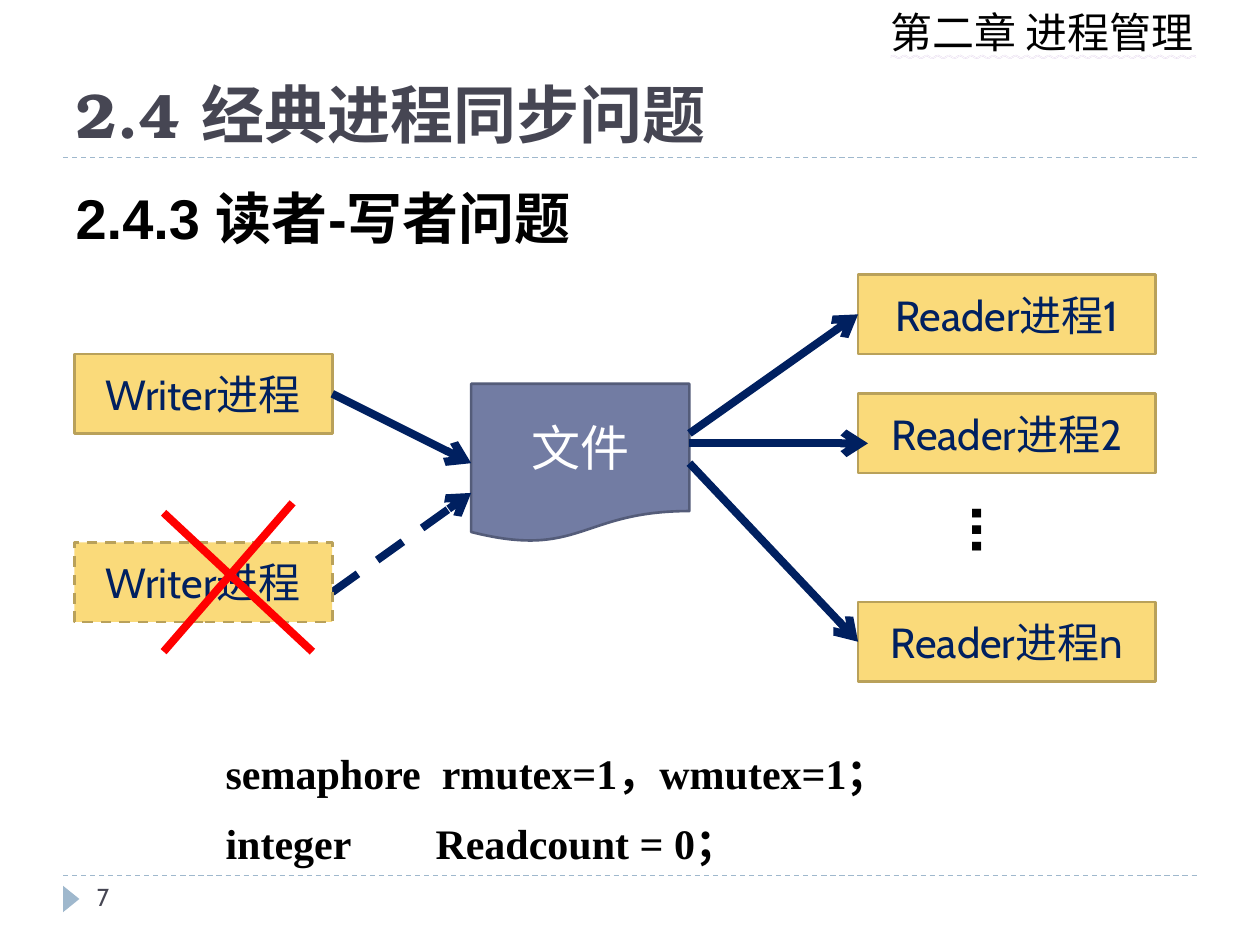
from dataclasses import dataclass

from lxml.etree import SubElement
from pptx import Presentation
from pptx.dml.color import RGBColor
from pptx.enum.dml import MSO_LINE
from pptx.enum.shapes import MSO_CONNECTOR, MSO_SHAPE
from pptx.enum.text import MSO_ANCHOR, MSO_UNDERLINE, PP_ALIGN
from pptx.oxml import parse_xml
from pptx.oxml.ns import nsdecls, qn
from pptx.util import Inches, Mm, Pt


@dataclass(frozen=True)
class Theme:
    black: str = "000000"
    white: str = "FFFFFF"
    slate: str = "464653"
    rule: str = "9FB8CD"
    underline: str = "CDB5DD"
    navy: str = "002060"
    process_fill: str = "FADA7A"
    process_edge: str = "B9A15A"
    file_fill: str = "727CA3"
    file_edge: str = "545C79"
    cross: str = "FF0000"
    body_font: str = "Cabin"
    title_font: str = "TeX Gyre Bonum"
    heading_font: str = "Arial"
    code_font: str = "Times New Roman"
    number_size: int = 14
    label_size: int = 24
    file_size: int = 28
    heading_size: int = 32
    title_size: int = 36
    dots_size: int = 40
    rule_width: float = 0.75
    edge_width: float = 1.5
    arrow_width: float = 4.5


THEME = Theme()
CELL = Mm(2)
DIAGRAM_LEFT, DIAGRAM_TOP = Inches(0.59), Inches(2.18)
PROCESS_ROWS = 8
WRITER_COLS, READER_COLS = 26, 30
FILE_COL, FILE_COLS = 40, 22
FILE_END = FILE_COL + FILE_COLS
READER_COL = 79


def point(col, row):
    return DIAGRAM_LEFT + int(col * CELL), DIAGRAM_TOP + int(row * CELL)


def area(col, row, cols, rows):
    """Turn a block of diagram cells into left, top, width and height."""
    return *point(col, row), int(cols * CELL), int(rows * CELL)


def inches(*lengths):
    return [Inches(length) for length in lengths]


def style_runs(frame, size, color, font=THEME.body_font, bold=False):
    for paragraph in frame.paragraphs:
        for run in paragraph.runs:
            run.font.size = Pt(size)
            run.font.name = font
            run.font.bold = bold
            run.font.color.rgb = RGBColor.from_string(color)


def style_line(line, color, width, dashed=False):
    line.color.rgb = RGBColor.from_string(color)
    line.width = Pt(width)
    if dashed:
        line.dash_style = MSO_LINE.DASH


def add_line(slide, start, end, color, width, dashed=False, arrow=False):
    connector = slide.shapes.add_connector(MSO_CONNECTOR.STRAIGHT, *start, *end)
    style_line(connector.line, color, width, dashed)
    if arrow:
        outline = connector.line._get_or_add_ln()
        SubElement(outline, qn("a:tailEnd"), type="arrow")
    SubElement(connector._element.spPr, qn("a:effectLst"))


def add_figure(slide, kind, place, fill):
    figure = slide.shapes.add_shape(kind, *place)
    figure.shadow.inherit = False
    figure.fill.solid()
    figure.fill.fore_color.rgb = RGBColor.from_string(fill)
    return figure


def add_node(slide, kind, place, label, fill, edge, size, color, dashed=False):
    node = add_figure(slide, kind, place, fill)
    style_line(node.line, edge, THEME.edge_width, dashed)
    frame = node.text_frame
    frame.text = label
    frame.vertical_anchor = MSO_ANCHOR.MIDDLE
    frame.paragraphs[0].alignment = PP_ALIGN.CENTER
    style_runs(frame, size, color)


def add_process(slide, col, row, cols, label, dashed=False):
    add_node(slide, MSO_SHAPE.RECTANGLE, area(col, row, cols, PROCESS_ROWS), label,
             THEME.process_fill, THEME.process_edge, THEME.label_size, THEME.navy, dashed)


def add_text(slide, place, text, size, color, wrap=True, **style):
    frame = slide.shapes.add_textbox(*place).text_frame
    frame.word_wrap = wrap
    frame.text = text
    style_runs(frame, size, color, **style)
    return frame


def add_page_frame(slide):
    """Draw the rules, the running chapter head and the page number."""
    for height in (1.25, 6.95):
        add_line(slide, inches(0.5, height), inches(9.5, height),
                 THEME.rule, THEME.rule_width, dashed=True)
    marker = add_figure(slide, MSO_SHAPE.ISOSCELES_TRIANGLE,
                        inches(0.46, 7.07, 0.21, 0.13), THEME.rule)
    marker.rotation = 90
    marker.line.fill.background()

    chapter = add_text(slide, inches(6.97, 0, 2.66, 0.5), "第二章 进程管理",
                       THEME.label_size, THEME.black, wrap=False)
    font = chapter.paragraphs[0].runs[0].font
    font.underline = MSO_UNDERLINE.WAVY_DOUBLE_LINE
    font._element.find(qn("a:solidFill")).addnext(parse_xml(
        f'<a:uFill {nsdecls("a")}><a:solidFill>'
        f'<a:srgbClr val="{THEME.underline}"/></a:solidFill></a:uFill>'))
    add_text(slide, inches(0.67, 6.95, 2.17, 0.4), "7", THEME.number_size, THEME.slate)


def fill_placeholder(placeholder, place, text):
    placeholder.left, placeholder.top, placeholder.width, placeholder.height = place
    frame = placeholder.text_frame
    frame.text = text
    frame.paragraphs[0].alignment = PP_ALIGN.LEFT
    return frame


def add_headings(slide):
    title = fill_placeholder(slide.shapes.title, inches(0.5, 0.52, 9, 0.73),
                             "2.4 经典进程同步问题")
    title.vertical_anchor = MSO_ANCHOR.BOTTOM
    style_runs(title, THEME.title_size, THEME.slate, THEME.title_font, bold=True)

    section = fill_placeholder(slide.placeholders[1], inches(0.5, 1.33, 9, 5.4),
                               "2.4.3 读者-写者问题")
    section.margin_top = Inches(0.13)
    heading = section.paragraphs[0]
    heading.space_before = Pt(0)
    layout = heading._p.get_or_add_pPr()
    layout.set("marL", str(Inches(0.3)))
    layout.set("indent", str(-Inches(0.3)))
    SubElement(layout, qn("a:buNone"))
    style_runs(section, THEME.heading_size, THEME.black, THEME.heading_font, bold=True)


def add_diagram(slide):
    add_node(slide, MSO_SHAPE.FLOWCHART_DOCUMENT, area(FILE_COL, 11, FILE_COLS, 16), "文件",
             THEME.file_fill, THEME.file_edge, THEME.file_size, THEME.white)
    add_process(slide, 0, 8, WRITER_COLS, "Writer进程")
    for row, reader in ((0, "1"), (12, "2"), (33, "n")):
        add_process(slide, READER_COL, row, READER_COLS, f"Reader进程{reader}")

    accesses = (
        ((WRITER_COLS, 12), (FILE_COL, 19), False),
        ((FILE_END, 17), (READER_COL + 1, 17), False),
        ((FILE_END, 16), (READER_COL, 4), False),
        ((FILE_END, 19), (READER_COL, 37), False),
        ((WRITER_COLS, 32), (FILE_COL, 22), True),
    )
    for start, end, blocked in accesses:
        add_line(slide, point(*start), point(*end), THEME.navy, THEME.arrow_width,
                 dashed=blocked, arrow=True)

    dots = add_text(slide, area(87, 22, 11.2, 8.1), "…", THEME.dots_size, THEME.black,
                    wrap=False, bold=True)
    dots._txBody.bodyPr.set("vert", "eaVert")

    add_process(slide, 0, 27, WRITER_COLS, "Writer进程", dashed=True)
    for start, end in (((9, 24), (24, 38)), ((9, 38), (22, 23))):
        add_line(slide, point(*start), point(*end), THEME.cross, THEME.arrow_width)


def add_declarations(slide):
    code = add_text(slide, area(14, 45, 81, 15.6),
                    "semaphore  rmutex=1，wmutex=1；\ninteger　　Readcount = 0；",
                    THEME.label_size, THEME.black, font=THEME.code_font, bold=True)
    for declaration in code.paragraphs:
        declaration.line_spacing = 1.4


def main():
    deck = Presentation()
    deck.slide_width, deck.slide_height = inches(10, 7.5)
    slide = deck.slides.add_slide(deck.slide_layouts[1])
    add_page_frame(slide)
    add_headings(slide)
    add_diagram(slide)
    add_declarations(slide)
    deck.save("out.pptx")


if __name__ == "__main__":
    main()
